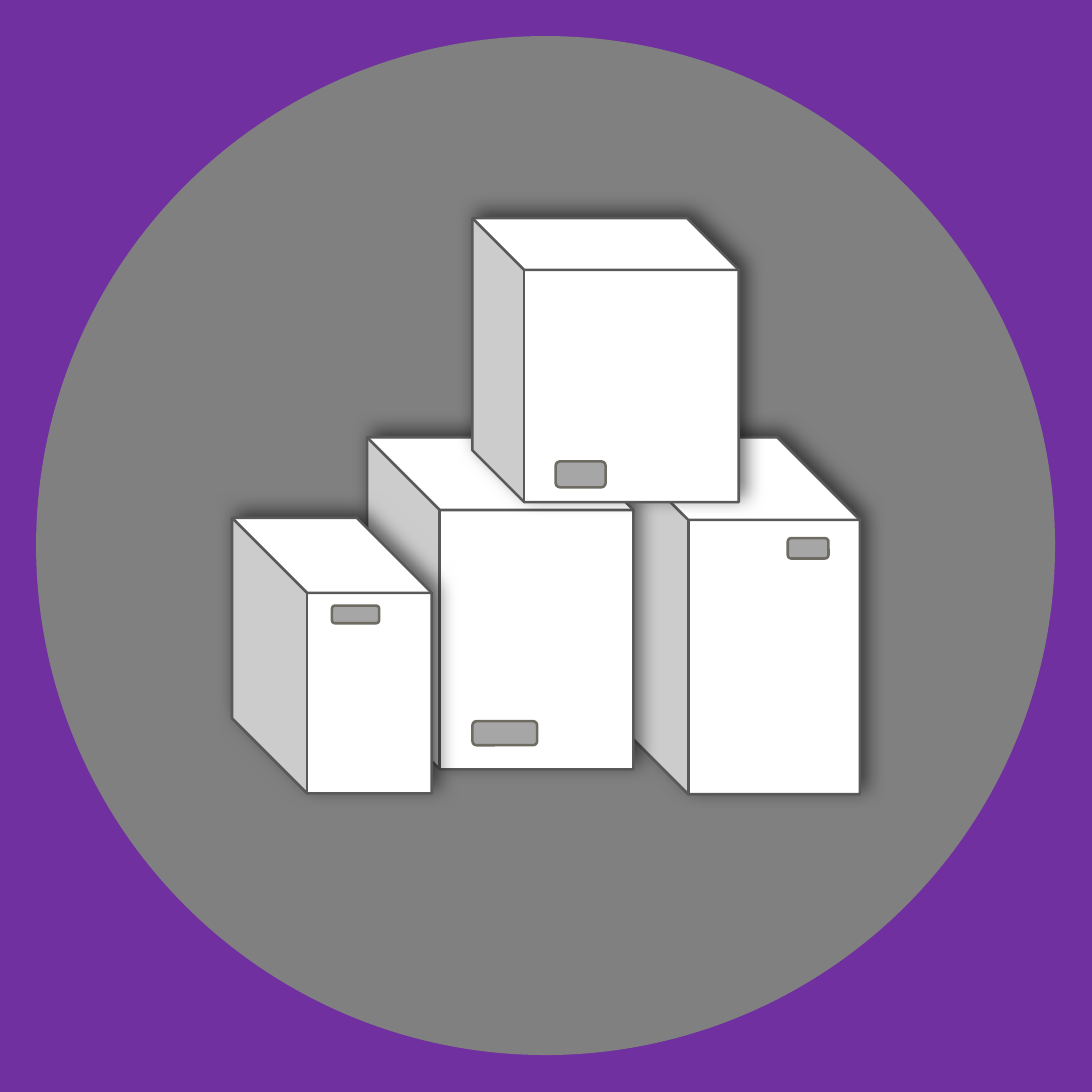
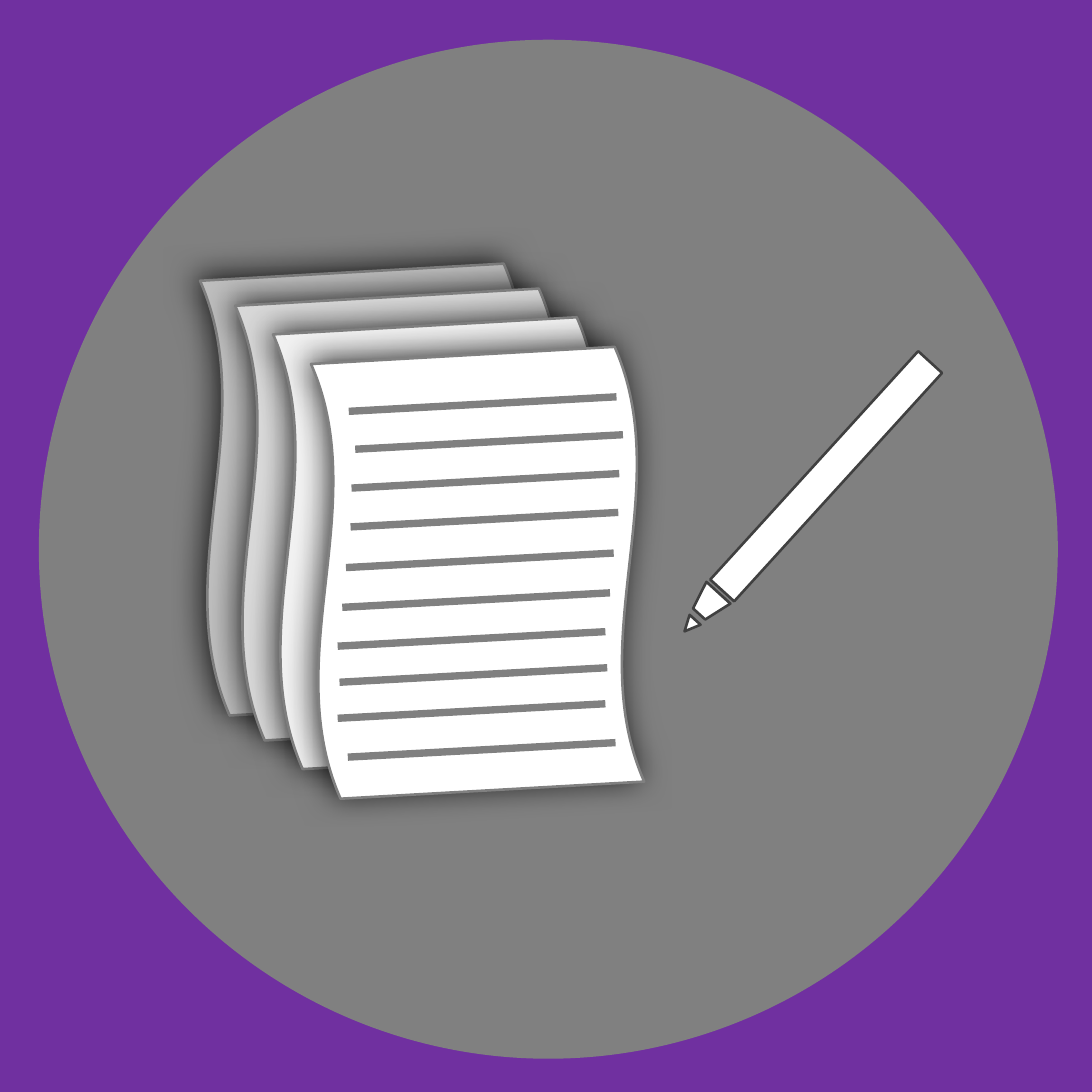
from lxml import etree
from pptx import Presentation
from pptx.dml.color import RGBColor
from pptx.enum.shapes import MSO_SHAPE
from pptx.oxml.ns import qn
from pptx.util import Inches, Pt

CUBE = MSO_SHAPE.CUBE
TAG = MSO_SHAPE.ROUNDED_RECTANGLE
DISC = MSO_SHAPE.OVAL
BAR = MSO_SHAPE.RECTANGLE
WAVE = MSO_SHAPE.WAVE
CONE = MSO_SHAPE.TRAPEZOID
TIP = MSO_SHAPE.ISOSCELES_TRIANGLE

PURPLE = RGBColor(0x70, 0x30, 0xA0)
GREY = RGBColor(0x80, 0x80, 0x80)
WHITE = RGBColor(0xFF, 0xFF, 0xFF)
EDGE = RGBColor(0x59, 0x59, 0x59)
LABEL = RGBColor(0xA6, 0xA6, 0xA6)
OLIVE = RGBColor(0x6E, 0x6C, 0x62)
DARK = RGBColor(0x40, 0x40, 0x40)
PAPERS = [RGBColor(v, v, v) for v in (0xBF, 0xD9, 0xF2, 0xFF)]

SIDE = 11.81
DISC_SIZE = 11.02
PEN_TURN = 222.3
PAGE_TURN = 86.1
RULE_TURN = 356.9
BOX_SHADE = {"alpha": 56, "blur": 15, "dist": 6, "angle": 310}
PAGE_SHADE = {"alpha": 79, "blur": 24, "dist": 5, "angle": 220}


def draw(shapes, kind, at, fill, edge=None, adj=(), **look):
    shape = shapes.add_shape(kind, *map(Inches, at))
    shape.shadow.inherit = False
    shape.fill.solid()
    shape.fill.fore_color.rgb = fill
    if edge is None:
        shape.line.fill.background()
    else:
        shape.line.color.rgb = edge
        shape.line.width = Pt(2)
    for i, value in enumerate(adj):
        shape.adjustments[i] = value
    for name, value in look.items():
        setattr(shape, name, value)
    return shape


def shade(shape, alpha, blur, dist, angle):
    effects = shape.element.spPr.find(qn("a:effectLst"))
    outer = etree.SubElement(effects, qn("a:outerShdw"))
    values = {"blurRad": Pt(blur), "dist": Pt(dist),
              "dir": angle * 60000, "rotWithShape": 0}
    for name, value in values.items():
        outer.set(name, str(int(value)))
    black = etree.SubElement(outer, qn("a:srgbClr"), val="000000")
    etree.SubElement(black, qn("a:alpha"), val=str(alpha * 1000))


def add_box(shapes, at, depth):
    box = draw(shapes, CUBE, at, WHITE, EDGE, [depth])
    box.element.spPr.xfrm.set("flipH", "1")
    shade(box, **BOX_SHADE)


def add_tag(shapes, at):
    draw(shapes, TAG, at, LABEL, OLIVE)


def add_page(shapes, left, top, fill):
    page = draw(shapes, WAVE, (left, top, 4.75, 3.63), fill, GREY,
                [0.047, -0.004], rotation=PAGE_TURN)
    shade(page, **PAGE_SHADE)


def add_base(deck, left, top):
    slide = deck.slides.add_slide(deck.slide_layouts[6])
    back = slide.background.fill
    back.solid()
    back.fore_color.rgb = PURPLE
    draw(slide.shapes, DISC, (left, top, DISC_SIZE, DISC_SIZE), GREY)
    return slide.shapes


def boxes(deck):
    shapes = add_base(deck, 0.39, 0.39)
    stack = shapes.add_group_shape().shapes
    for at, depth in (((6.55, 4.73, 2.75, 3.86), 0.325),
                      ((3.97, 4.73, 2.88, 3.59), 0.273),
                      ((5.11, 2.36, 2.88, 3.07), 0.194)):
        add_box(stack, at, depth)
    for at in ((5.11, 7.8, 0.7, 0.26), (8.52, 5.82, 0.44, 0.22),
               (6.01, 4.99, 0.54, 0.28)):
        add_tag(stack, at)
    add_box(stack, (2.51, 5.6, 2.16, 2.98), 0.376)
    add_tag(stack, (3.59, 6.55, 0.51, 0.19))


def papers(deck):
    shapes = add_base(deck, 0.42, 0.43)
    pen = shapes.add_group_shape().shapes
    for kind, at, adj in ((CONE, (7.49, 6.37, 0.35, 0.31), [0.276]),
                          (BAR, (8.76, 3.48, 0.35, 3.34), []),
                          (TIP, (7.38, 6.68, 0.16, 0.17), [])):
        draw(pen, kind, at, WHITE, DARK, adj, rotation=PEN_TURN)
    pile = shapes.add_group_shape().shapes
    spots = ((1.59, 3.48), (1.97, 3.75), (2.38, 4.06), (2.79, 4.38))
    for (left, top), fill in zip(spots, PAPERS):
        add_page(pile, left, top, fill)
    for left, top in ((3.77, 4.33), (3.84, 4.74), (3.8, 5.16), (3.79, 5.58),
                      (3.74, 6.02), (3.7, 6.45), (3.65, 6.87), (3.67, 7.26),
                      (3.65, 7.65), (3.76, 8.07)):
        draw(pile, BAR, (left, top, 2.9, 0.08), GREY, rotation=RULE_TURN)


def main():
    deck = Presentation()
    deck.slide_width = deck.slide_height = Inches(SIDE)
    boxes(deck)
    papers(deck)
    deck.save("out.pptx")


main()
